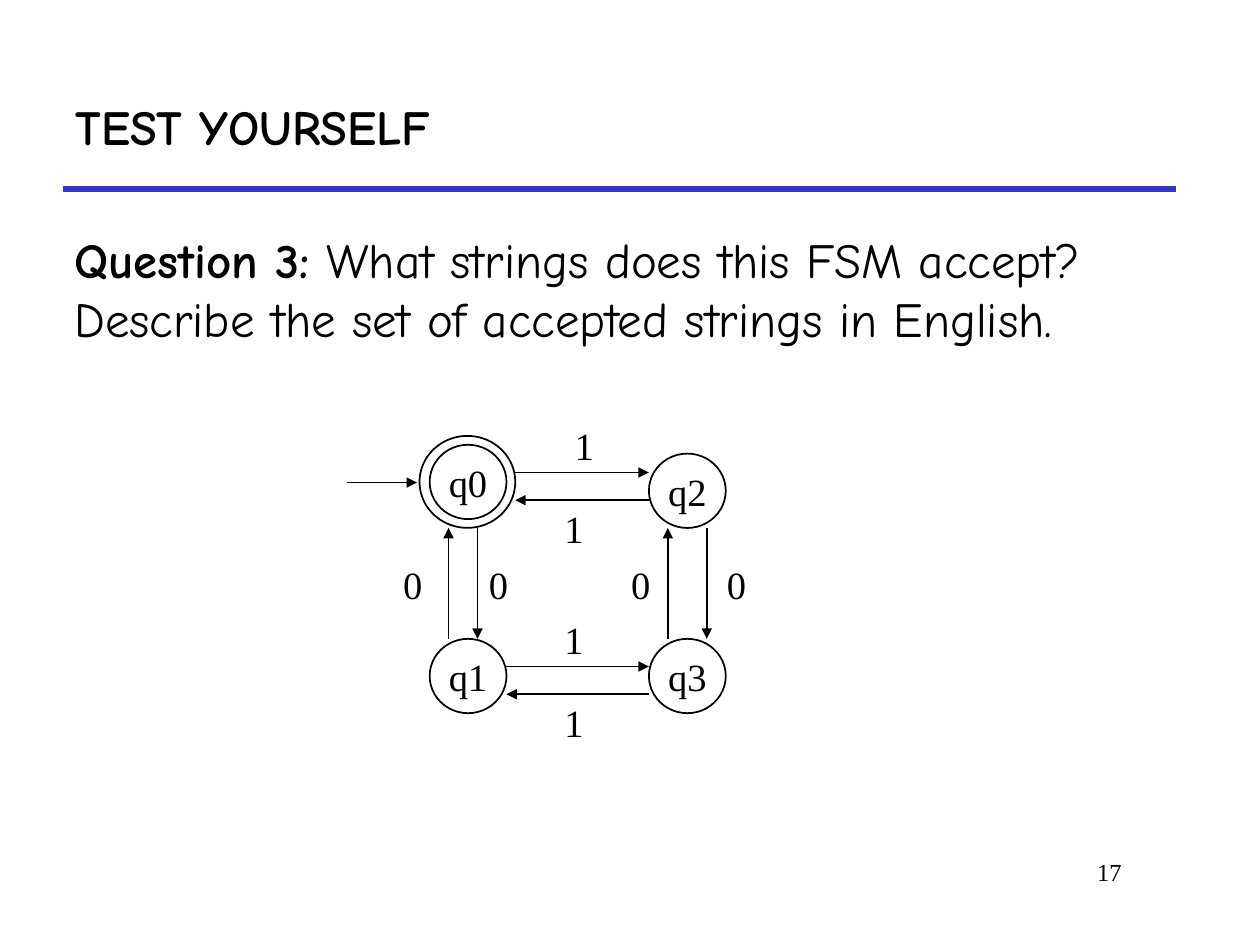
import pptx
import pptx.util
import pptx.dml.color
import pptx.enum.shapes
import pptx.enum.text
import pptx.oxml.ns
import lxml.etree

Inches = pptx.util.Inches
Align = pptx.enum.text.PP_ALIGN
Anchor = pptx.enum.text.MSO_ANCHOR
Fit = pptx.enum.text.MSO_AUTO_SIZE

BLACK, BLUE = "000000", "3333CC"
SERIF, COMIC = "Times New Roman", "Comic Neue"
TITLE = "TEST YOURSELF"
QUERY = [
    ("Question 3:", True),
    (" What strings does this FSM accept? Describe the set of accepted strings in English.", False),
]
NUMBER = "17"
WIDE, HIGH = 0.61, 0.59
STATES = [("q0", 3.41, 3.53), ("q2", 5.15, 3.6), ("q3", 5.15, 5.07), ("q1", 3.41, 5.07)]
RING = (3.33, 3.46, 0.76, 0.73)
ROWS = [(4.09, 5.15, 3.75, 3.97), (4.02, 5.15, 5.29, 5.51)]
COLUMNS = [(3.79, 3.56), (5.61, 5.3)]
TOP, BOTTOM = 4.19, 5.07
START = (2.75, 3.83, 3.31, 3.83)
ONES = [(4.47, 3.31), (4.39, 3.97), (4.39, 4.85), (4.39, 5.51)]
ZEROS = [(x, 4.41) for x in (3.11, 3.79, 4.92, 5.68)]


def color(code):
    return pptx.dml.color.RGBColor.from_string(code)


def place(shape, *box):
    shape.left, shape.top, shape.width, shape.height = map(Inches, box)


def style(para, size, name, bold=False):
    font = para.font
    font.size, font.name, font.bold = pptx.util.Pt(size), name, bold
    font.color.rgb = color(BLACK)


def frame(shape, side, edge, wrap, anchor=Anchor.TOP, fit=Fit.NONE):
    text = shape.text_frame
    text.margin_left = text.margin_right = Inches(side)
    text.margin_top = text.margin_bottom = Inches(edge)
    text.word_wrap, text.vertical_anchor, text.auto_size = wrap, anchor, fit
    return text.paragraphs[0]


def line(slide, x1, y1, x2, y2, code=BLACK, width=1, head=True):
    link = slide.shapes.add_connector(
        pptx.enum.shapes.MSO_CONNECTOR.STRAIGHT, *map(Inches, (x1, y1, x2, y2)))
    link.line.color.rgb = color(code)
    link.line.width = pptx.util.Pt(width)
    if head:
        tip = lxml.etree.SubElement(link.line._get_or_add_ln(), pptx.oxml.ns.qn("a:tailEnd"))
        tip.set("type", "triangle")
    lxml.etree.SubElement(link._element.spPr, pptx.oxml.ns.qn("a:effectLst"))


def circle(slide, *box):
    shape = slide.shapes.add_shape(
        pptx.enum.shapes.MSO_SHAPE.OVAL, *map(Inches, box))
    shape.shadow.inherit = False
    shape.fill.background()
    shape.line.color.rgb = color(BLACK)
    shape.line.width = pptx.util.Pt(1)
    return shape


def label(slide, text, x, y):
    box = slide.shapes.add_textbox(*map(Inches, (x, y, 0.33, 0.46)))
    para = frame(box, 0.09, 0.04, False, fit=Fit.SHAPE_TO_FIT_TEXT)
    para.text = text
    style(para, 22, SERIF)


def main():
    deck = pptx.Presentation()
    deck.slide_width, deck.slide_height = Inches(10), Inches(7.5)
    slide = deck.slides.add_slide(deck.slide_layouts[1])
    line(slide, 0.5, 1.5, 9.33, 1.5, BLUE, 3, False)

    title, body = slide.placeholders
    place(title, 0.5, 0.5, 8.83, 1)
    para = frame(title, 0.1, 0.05, True, Anchor.MIDDLE)
    para.text, para.alignment = TITLE, Align.LEFT
    style(para, 28, COMIC, True)

    place(body, 0.5, 1.78, 9.25, 1.02)
    para = frame(body, 0.09, 0.04, True)
    props = para._p.get_or_add_pPr()
    props.set("marL", "0")
    props.set("indent", "0")
    lxml.etree.SubElement(props, pptx.oxml.ns.qn("a:buNone"))
    para.space_before = pptx.util.Pt(0)
    style(para, 28, COMIC)
    for text, bold in QUERY:
        run = para.add_run()
        run.text, run.font.bold = text, bold

    for name, x, y in STATES:
        para = frame(circle(slide, x, y, WIDE, HIGH), 0.09, 0.04, False, Anchor.MIDDLE)
        para.text, para.alignment = name, Align.CENTER
        style(para, 22, SERIF)
    circle(slide, *RING)

    for left, right, out, back in ROWS:
        line(slide, left, out, right, out)
        line(slide, right, back, left, back)
    for down, up in COLUMNS:
        line(slide, down, TOP, down, BOTTOM)
        line(slide, up, BOTTOM, up, TOP)
    line(slide, *START)

    for text, spots in (("1", ONES), ("0", ZEROS)):
        for x, y in spots:
            label(slide, text, x, y)

    box = slide.shapes.add_textbox(*map(Inches, (6.92, 6.75, 2.08, 0.5)))
    para = frame(box, 0.1, 0.05, True)
    para.text, para.alignment = NUMBER, Align.RIGHT
    style(para, 14, SERIF)
    deck.save("out.pptx")


if __name__ == "__main__":
    main()
